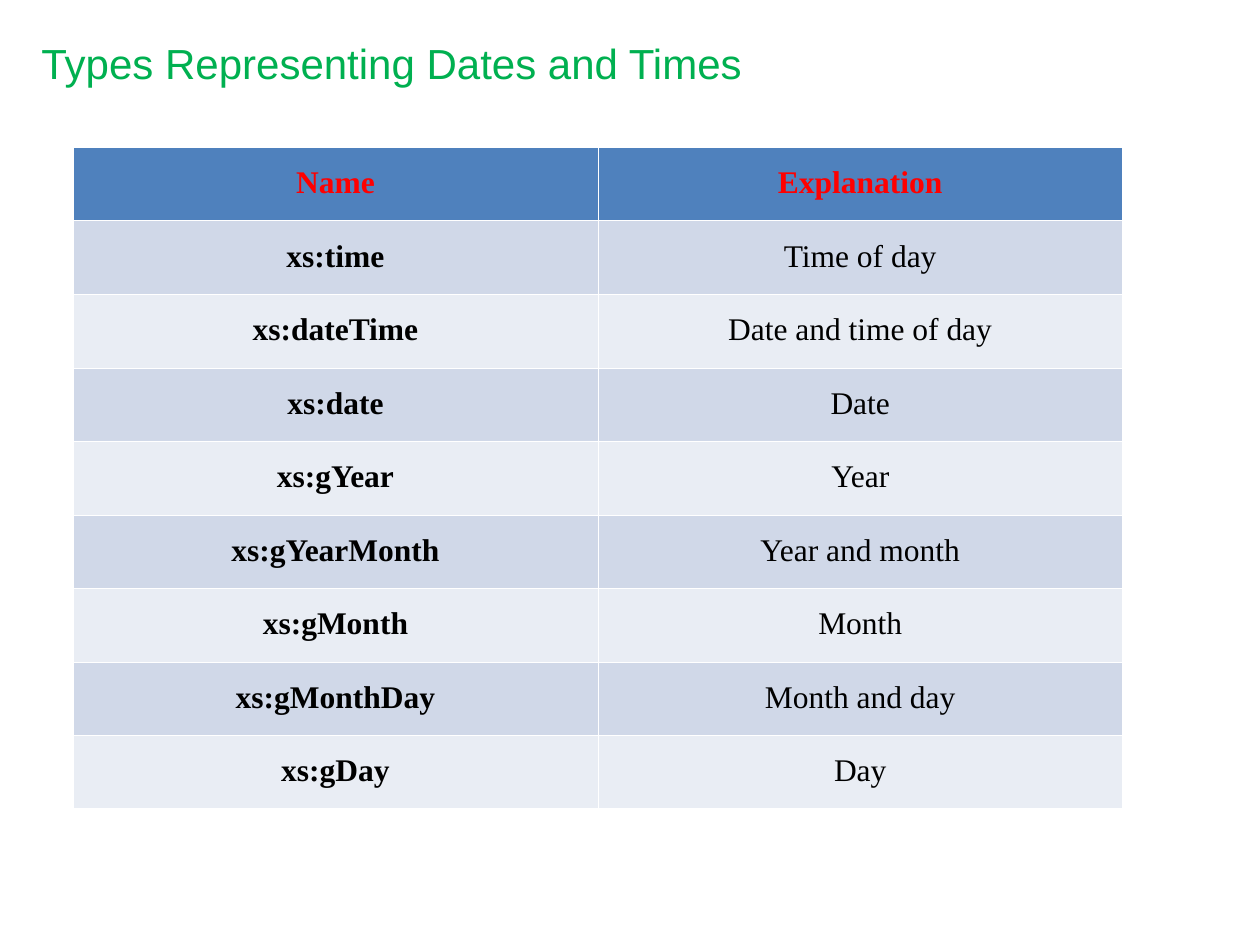
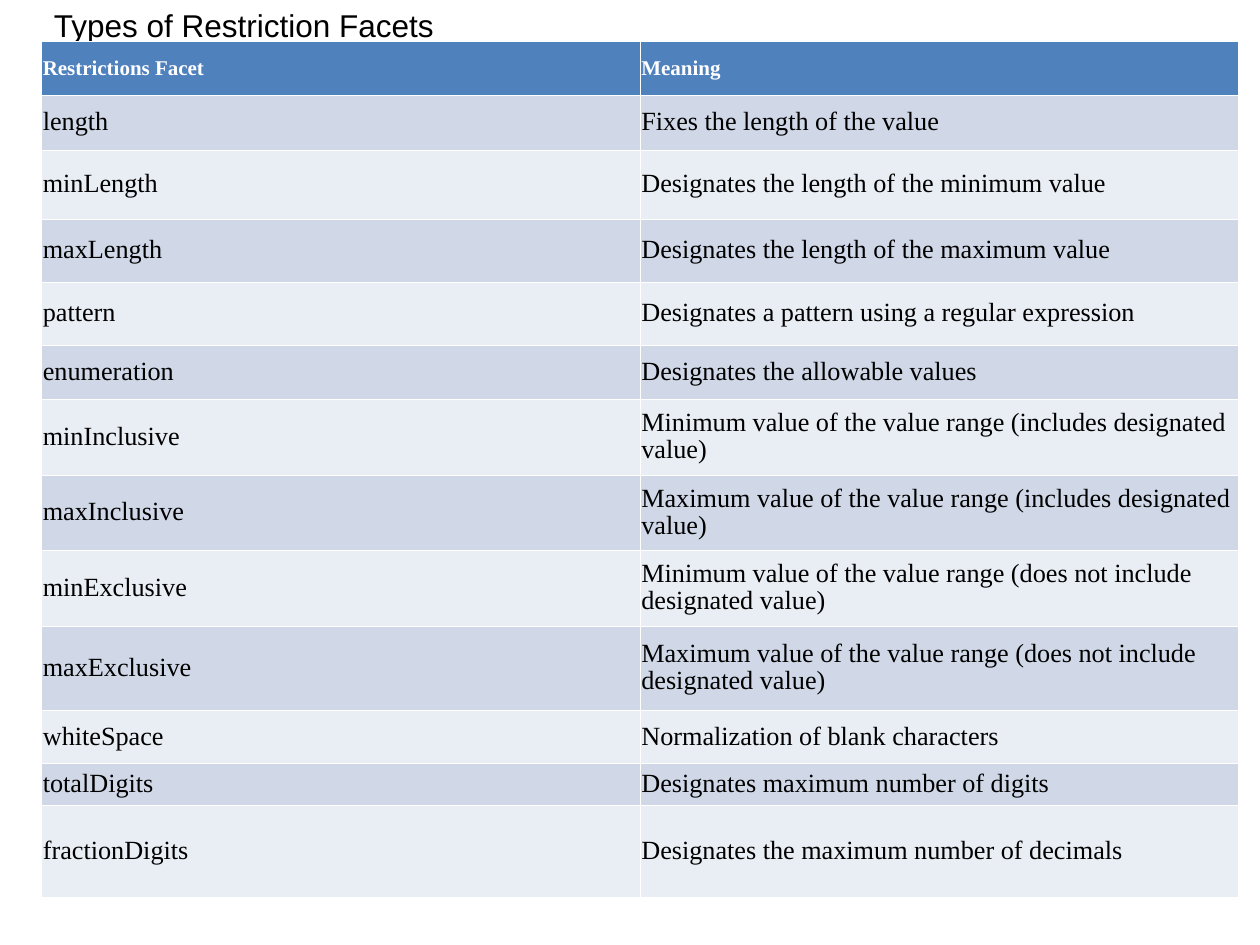
"""Build two slides that tabulate XML Schema date types and restriction facets."""
from lxml.etree import SubElement
from pptx import Presentation
from pptx.dml.color import RGBColor
from pptx.enum.text import MSO_ANCHOR, MSO_AUTO_SIZE, PP_ALIGN
from pptx.oxml.ns import qn
from pptx.util import Inches, Pt

WHITE = RGBColor(0xFF, 0xFF, 0xFF)
BLACK = RGBColor(0x00, 0x00, 0x00)
GREEN = RGBColor(0x00, 0xB0, 0x50)
RED = RGBColor(0xFF, 0x00, 0x00)
HEADER_BLUE = RGBColor(0x4F, 0x81, 0xBD)
DARK_BAND = RGBColor(0xD0, 0xD8, 0xE8)
LIGHT_BAND = RGBColor(0xE9, 0xED, 0xF4)

THIN_BORDER, HEADER_BORDER = Pt(0.23), Pt(0.75)
CELL_FORMAT = {
    "margin_left": Inches(0.01),
    "margin_right": Inches(0.01),
    "margin_top": Inches(0.05),
    "margin_bottom": Inches(0.05),
    "vertical_anchor": MSO_ANCHOR.MIDDLE,
}

DATE_TYPES = [
    ("Name", "Explanation"),
    ("xs:time", "Time of day"),
    ("xs:dateTime", "Date and time of day"),
    ("xs:date", "Date"),
    ("xs:gYear", "Year"),
    ("xs:gYearMonth", "Year and month"),
    ("xs:gMonth", "Month"),
    ("xs:gMonthDay", "Month and day"),
    ("xs:gDay", "Day"),
]
RESTRICTION_FACETS = [
    ("Restrictions Facet", "Meaning"),
    ("length", "Fixes the length of the value"),
    ("minLength", "Designates the length of the minimum value"),
    ("maxLength", "Designates the length of the maximum value"),
    ("pattern", "Designates a pattern using a regular expression"),
    ("enumeration", "Designates the allowable values"),
    ("minInclusive", "Minimum value of the value range (includes designated value)"),
    ("maxInclusive", "Maximum value of the value range (includes designated value)"),
    ("minExclusive", "Minimum value of the value range (does not include designated value)"),
    ("maxExclusive", "Maximum value of the value range (does not include designated value)"),
    ("whiteSpace", "Normalization of blank characters"),
    ("totalDigits", "Designates maximum number of digits"),
    ("fractionDigits", "Designates the maximum number of decimals"),
]

SLIDES = [
    {
        "title": "Types Representing Dates and Times",
        "title_box": (0.23, 0.25, 5.79, 0.5),
        "title_frame": {"word_wrap": False, "vertical_anchor": MSO_ANCHOR.MIDDLE},
        "title_font": (24, GREEN),
        "entries": DATE_TYPES,
        "table_box": (0.58, 1.17, 8.33, 5.25),
        "row_heights": [5.25 / len(DATE_TYPES)] * len(DATE_TYPES),
        "alignment": PP_ALIGN.CENTER,
        "header_font": (18, RED),
        "body_size": 18,
        "bold_names": True,
    },
    {
        "title": "Types of Restriction Facets",
        "title_box": (0.33, 0, 4.92, 0.4),
        "title_frame": {"word_wrap": True, "vertical_anchor": MSO_ANCHOR.TOP},
        "title_font": (18, BLACK),
        "entries": RESTRICTION_FACETS,
        "table_box": (0.33, 0.33, 9.5, 6.79),
        "row_heights": [0.43, 0.43, 0.55, 0.5, 0.5, 0.43, 0.6, 0.6, 0.6, 0.67, 0.42, 0.33, 0.73],
        "alignment": PP_ALIGN.LEFT,
        "header_font": (12, WHITE),
        "body_size": 15,
        "bold_names": False,
    },
]


def write_text(paragraph, text, name, size, color, bold=False):
    run = paragraph.add_run()
    run.text = text
    for attribute, value in {"name": name, "size": Pt(size), "bold": bold}.items():
        setattr(run.font, attribute, value)
    run.font.color.rgb = color


def add_borders(cell, top, bottom):
    properties = cell._tc.get_or_add_tcPr()
    widths = {"a:lnL": THIN_BORDER, "a:lnR": THIN_BORDER, "a:lnT": top, "a:lnB": bottom}
    for tag, width in widths.items():
        line = SubElement(properties, qn(tag), w=str(width))
        fill = SubElement(line, qn("a:solidFill"))
        SubElement(fill, qn("a:srgbClr"), val=str(WHITE))


presentation = Presentation()
presentation.slide_width = Inches(10)
presentation.slide_height = Inches(7.5)

for content in SLIDES:
    slide = presentation.slides.add_slide(presentation.slide_layouts[6])
    title_shape = slide.shapes.add_textbox(*map(Inches, content["title_box"]))
    title_frame = title_shape.text_frame
    title_frame.auto_size = MSO_AUTO_SIZE.SHAPE_TO_FIT_TEXT
    for attribute, value in content["title_frame"].items():
        setattr(title_frame, attribute, value)
    write_text(title_frame.paragraphs[0], content["title"], "Arial", *content["title_font"])

    entries = content["entries"]
    table = slide.shapes.add_table(len(entries), 2, *map(Inches, content["table_box"])).table
    for row, height in zip(table.rows, content["row_heights"]):
        row.height = Inches(height)

    for row_index, entry in enumerate(entries):
        is_header = row_index == 0
        band = HEADER_BLUE if is_header else DARK_BAND if row_index % 2 else LIGHT_BAND
        size, color = content["header_font"] if is_header else (content["body_size"], BLACK)
        top = HEADER_BORDER if row_index == 1 else THIN_BORDER
        bottom = HEADER_BORDER if is_header else THIN_BORDER
        for column_index, text in enumerate(entry):
            cell = table.cell(row_index, column_index)
            for attribute, value in CELL_FORMAT.items():
                setattr(cell, attribute, value)
            add_borders(cell, top, bottom)
            cell.fill.solid()
            cell.fill.fore_color.rgb = band
            paragraph = cell.text_frame.paragraphs[0]
            paragraph.alignment = content["alignment"]
            paragraph.line_spacing = 0.93
            bold = is_header or (content["bold_names"] and column_index == 0)
            write_text(paragraph, text, "Times New Roman", size, color, bold)

presentation.save("out.pptx")
